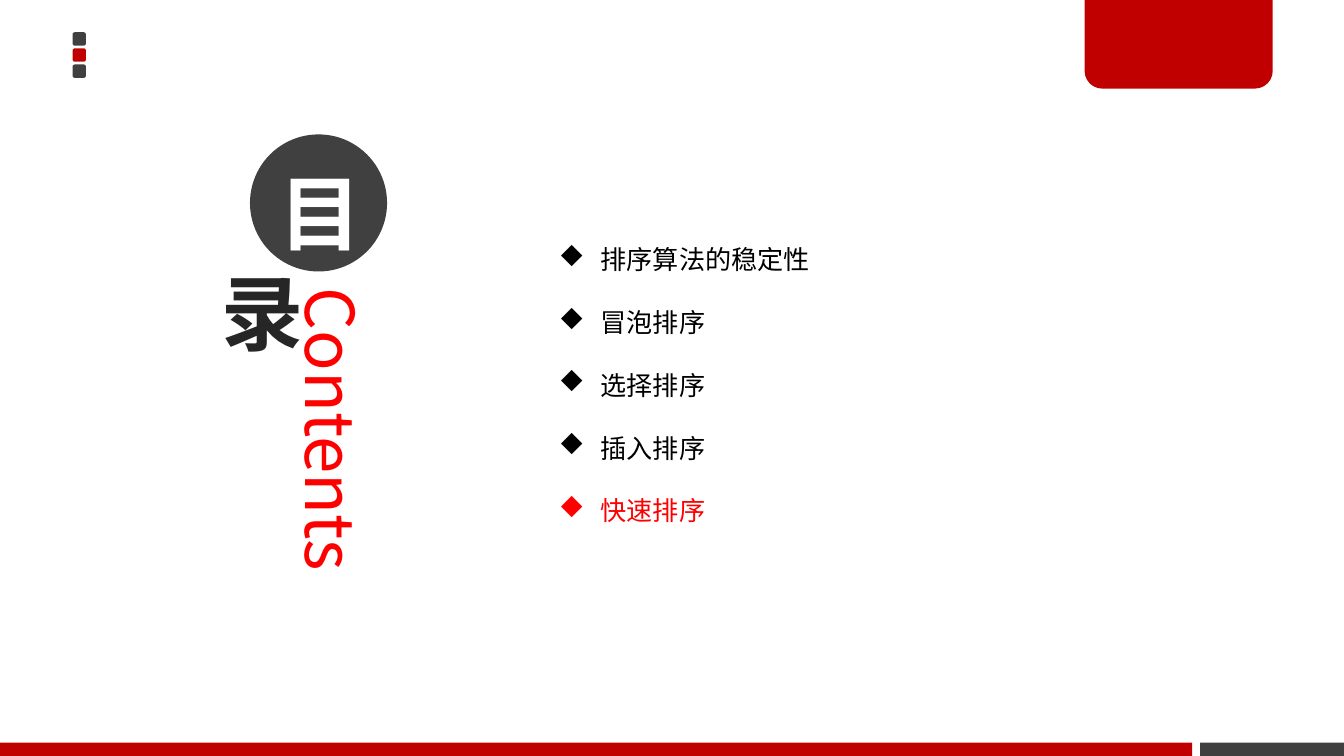
"""Build the contents slide of a lecture on sorting algorithms."""
from lxml import etree
from pptx import Presentation, util as u
from pptx.dml.color import RGBColor
from pptx.enum import shapes, text
from pptx.oxml.ns import qn

WIDTH = 10
HEIGHT = WIDTH * 9 / 16
FONT = "Noto Sans CJK SC"
BULLET_FONT, DIAMOND = "Wingdings", "u"
CRIMSON = RGBColor(0xC0, 0x00, 0x00)
RED = RGBColor(0xFF, 0x00, 0x00)
DARK = RGBColor(0x40, 0x40, 0x40)
INK = RGBColor(0x26, 0x26, 0x26)
BLACK = RGBColor(0x00, 0x00, 0x00)
WHITE = RGBColor(0xFF, 0xFF, 0xFF)

HEADING = "Contents"
TOPICS = [
    ("排序算法的稳定性", BLACK),
    ("冒泡排序", BLACK),
    ("选择排序", BLACK),
    ("插入排序", BLACK),
    ("快速排序", RED),
]
SEALS = [
    ("目", WHITE, DARK, (1.86, 1, 1.02, 1.02), 0.15, u.Pt(70)),
    ("录", INK, None, (1.46, 1.92, 0.8, 0.8), 0.04, 1.0),
]
MARKS = [DARK, CRIMSON, DARK]
MARK_LEFT, MARK_TOP, MARK_SIZE, MARK_PITCH = 0.54, 0.24, 0.1, 0.12
BAR, BAR_GAP, BAR_SPLIT = 0.1, 0.06, 8.87
INDENT = u.Inches(0.31)


def inches(box):
    return [u.Inches(length) for length in box]


def add_block(slide, kind, box, color, corners=()):
    block = slide.shapes.add_shape(kind, *inches(box))
    block.shadow.inherit = False
    block.line.fill.background()
    if color is None:
        block.fill.background()
    else:
        block.fill.solid()
        block.fill.fore_color.rgb = color
    for index, corner in enumerate(corners):
        block.adjustments[index] = corner
    return block


def set_margins(frame, bottom=0.04):
    frame.margin_left, frame.margin_top, frame.margin_right, frame.margin_bottom = inches(
        (0.07, 0.04, 0.07, bottom))


def add_run(paragraph, words, size, color, bold=False):
    run = paragraph.add_run()
    run.text = words
    run.font.size = u.Pt(size)
    run.font.bold = bold
    run.font.color.rgb = color
    run.font.name = FONT
    latin = run.font._element.find(qn("a:latin"))
    latin.addnext(latin.makeelement(qn("a:ea"), {"typeface": FONT}))


def add_decor(slide):
    for row, color in enumerate(MARKS):
        box = (MARK_LEFT, MARK_TOP + row * MARK_PITCH, MARK_SIZE, MARK_SIZE)
        add_block(slide, shapes.MSO_SHAPE.ROUNDED_RECTANGLE, box, color, [0.17])
    add_block(slide, shapes.MSO_SHAPE.ROUND_2_SAME_RECTANGLE,
              (8.07, 0, 1.4, 0.66), CRIMSON, [0, 0.2])
    right = BAR_SPLIT + BAR_GAP
    for left, width, color in [(0, BAR_SPLIT, CRIMSON), (right, WIDTH - right, DARK)]:
        add_block(slide, shapes.MSO_SHAPE.RECTANGLE, (left, HEIGHT - BAR, width, BAR), color)


def add_heading(slide):
    heading = slide.shapes.title
    heading.left, heading.top, heading.width, heading.height = inches((2.14, 2.1, 0.7, 2.89))
    frame = heading.text_frame
    set_margins(frame)
    frame.auto_size = text.MSO_AUTO_SIZE.NONE
    frame.vertical_anchor = text.MSO_ANCHOR.TOP
    frame._txBody.bodyPr.set("vert", "eaVert")
    frame.paragraphs[0].alignment = text.PP_ALIGN.LEFT
    add_run(frame.paragraphs[0], HEADING, 36, RED)


def add_seals(slide):
    for glyph, color, fill, box, bottom, spacing in SEALS:
        frame = add_block(slide, shapes.MSO_SHAPE.OVAL, box, fill).text_frame
        set_margins(frame, bottom)
        frame.vertical_anchor = text.MSO_ANCHOR.MIDDLE
        paragraph = frame.paragraphs[0]
        paragraph.alignment = text.PP_ALIGN.CENTER
        paragraph.line_spacing = spacing
        add_run(paragraph, glyph, 44, color, bold=True)


def add_topics(slide):
    frame = slide.shapes.add_textbox(*inches((4.06, 1.53, 4.72, 2.39))).text_frame
    frame.word_wrap = True
    for index, (topic, color) in enumerate(TOPICS):
        paragraph = frame.add_paragraph() if index else frame.paragraphs[0]
        props = paragraph._p.get_or_add_pPr()
        props.set("marL", str(INDENT))
        props.set("indent", str(-INDENT))
        etree.SubElement(props, qn("a:buFont"), typeface=BULLET_FONT, charset="2")
        etree.SubElement(props, qn("a:buChar"), char=DIAMOND)
        paragraph.line_spacing = 2.0
        add_run(paragraph, topic, 14, color)


def main():
    deck = Presentation()
    deck.slide_width, deck.slide_height = inches((WIDTH, HEIGHT))
    slide = deck.slides.add_slide(deck.slide_layouts.get_by_name("Title Only"))
    add_decor(slide)
    add_heading(slide)
    add_seals(slide)
    add_topics(slide)
    deck.save("out.pptx")


if __name__ == "__main__":
    main()
